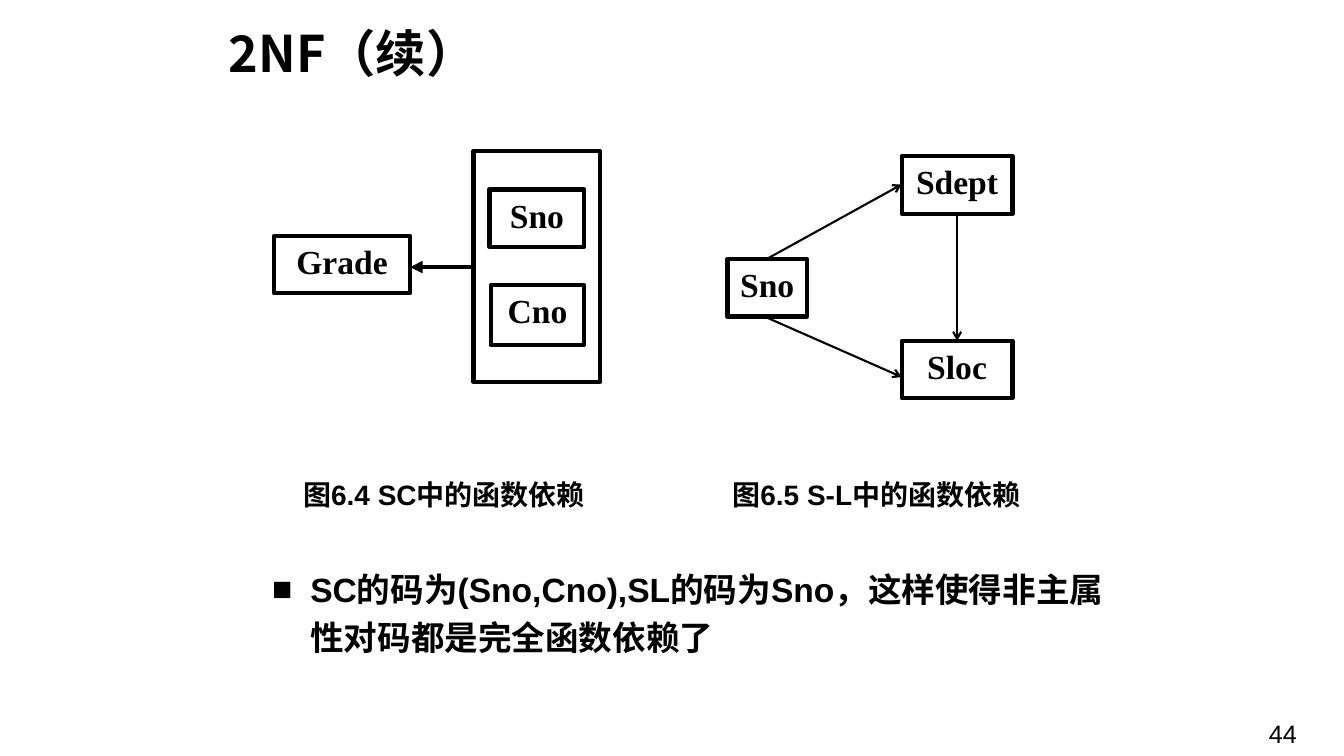
from lxml.etree import SubElement
from pptx import Presentation
from pptx.dml.color import RGBColor
from pptx.enum.shapes import MSO_CONNECTOR, MSO_SHAPE
from pptx.enum.text import MSO_ANCHOR, MSO_AUTO_SIZE, PP_ALIGN
from pptx.oxml.ns import qn
from pptx.util import Inches, Pt

BLACK = "000000"
SANS = "Arial"
SERIF = "Times New Roman"
CJK = "Noto Sans CJK SC"


def color(hex_code):
    """Turn a hex string into a colour."""
    return RGBColor.from_string(hex_code)


class DependencySlide:
    """Holds the style and the slide being built."""

    def __init__(self, deck):
        """Add a title and content slide to the deck."""
        self.slide = deck.slides.add_slide(deck.slide_layouts[1])
        self.shapes = self.slide.shapes

    def add_text(self, paragraph, text, size, font=SANS, bold=True):
        """Add one run with Latin and East Asian fonts."""
        run = paragraph.add_run()
        run.text = text
        run.font.size = Pt(size)
        run.font.bold = bold
        run.font.name = font
        run.font.color.rgb = color(BLACK)
        SubElement(run._r.get_or_add_rPr(), qn("a:ea"), typeface=CJK)

    def place(self, holder, left, top, width, height, anchor):
        """Move a placeholder and return its first paragraph."""
        holder.left, holder.top = Inches(left), Inches(top)
        holder.width, holder.height = Inches(width), Inches(height)
        frame = holder.text_frame
        frame.auto_size = MSO_AUTO_SIZE.NONE
        frame.vertical_anchor = anchor
        paragraph = frame.paragraphs[0]
        paragraph.alignment = PP_ALIGN.LEFT
        paragraph.space_before = Pt(0)
        return paragraph

    def title(self, text):
        """Fill the title placeholder."""
        heading = self.place(self.shapes.title, 2.17, -0.04, 9, 1.11, MSO_ANCHOR.MIDDLE)
        self.add_text(heading, text, 36, CJK)

    def bullet(self, text):
        """Fill the body placeholder with one square bullet."""
        body = self.slide.placeholders[1]
        point = self.place(body, 2.17, 5.51, 9, 1.26, MSO_ANCHOR.TOP)
        point.level = 1
        point.line_spacing = 1.2
        properties = point._p.get_or_add_pPr()
        properties.set("marL", str(Inches(0.81)))
        properties.set("indent", str(Inches(-0.38)))
        bullet_color = SubElement(properties, qn("a:buClr"))
        SubElement(bullet_color, qn("a:srgbClr"), val=BLACK)
        SubElement(properties, qn("a:buFont"), typeface=SANS)
        SubElement(properties, qn("a:buChar"), char="■")
        self.add_text(point, text, 24)

    def box(self, left, top, width, height, attribute=None):
        """Draw an outlined rectangle, with an attribute name if given."""
        rectangle = self.shapes.add_shape(
            MSO_SHAPE.RECTANGLE, Inches(left), Inches(top), Inches(width), Inches(height))
        rectangle.shadow.inherit = False
        rectangle.fill.background()
        rectangle.line.color.rgb = color(BLACK)
        rectangle.line.width = Pt(3)
        if attribute:
            frame = rectangle.text_frame
            frame.vertical_anchor = MSO_ANCHOR.TOP
            frame.paragraphs[0].alignment = PP_ALIGN.CENTER
            self.add_text(frame.paragraphs[0], attribute, 24, SERIF)

    def arrow(self, start, end, width=1.5, head="arrow"):
        """Draw an arrow between two points."""
        connector = self.shapes.add_connector(
            MSO_CONNECTOR.STRAIGHT, *(Inches(value) for value in (*start, *end)))
        connector.line.color.rgb = color(BLACK)
        connector.line.width = Pt(width)
        properties = connector._element.spPr
        SubElement(properties.find(qn("a:ln")), qn("a:tailEnd"), type=head)
        SubElement(properties, qn("a:effectLst"))

    def label(self, text, left, top, width, height, size, bold=True,
              align=PP_ALIGN.LEFT, wrap=False):
        """Add a text box with one line."""
        frame = self.shapes.add_textbox(
            Inches(left), Inches(top), Inches(width), Inches(height)).text_frame
        frame.word_wrap = wrap
        frame.paragraphs[0].alignment = align
        self.add_text(frame.paragraphs[0], text, size, bold=bold)


def main():
    """Build and save the slide."""
    deck = Presentation()
    deck.slide_width, deck.slide_height = Inches(13.34), Inches(7.5)
    page = DependencySlide(deck)

    page.label("44", 11.72, 7.08, 1.25, 0.4, 18, False, PP_ALIGN.RIGHT, True)
    page.title("2NF（续）")
    page.bullet("SC的码为(Sno,Cno),SL的码为Sno，这样使得非主属性对码都是完全函数依赖了")

    page.box(4.7, 1.5, 1.26, 2.29)
    for attribute, left, top, width, height in (
        ("Sno", 4.86, 1.88, 0.94, 0.57),
        ("Cno", 4.87, 2.83, 0.93, 0.59),
        ("Grade", 2.72, 2.34, 1.35, 0.57),
        ("Sno", 7.22, 2.57, 0.79, 0.57),
        ("Sdept", 8.95, 1.55, 1.1, 0.57),
        ("Sloc", 8.95, 3.38, 1.1, 0.57),
    ):
        page.box(left, top, width, height, attribute)

    page.arrow((4.68, 2.65), (4.07, 2.65), 3, "triangle")
    page.arrow((7.61, 2.57), (8.95, 1.83))
    page.arrow((7.61, 3.15), (8.95, 3.74))
    page.arrow((9.5, 2.12), (9.5, 3.38))

    page.label("图6.4 SC中的函数依赖", 2.91, 4.69, 3.13, 0.44, 20)
    page.label("图6.5 S-L中的函数依赖", 7.17, 4.69, 3.19, 0.44, 20)
    deck.save("out.pptx")


if __name__ == "__main__":
    main()
